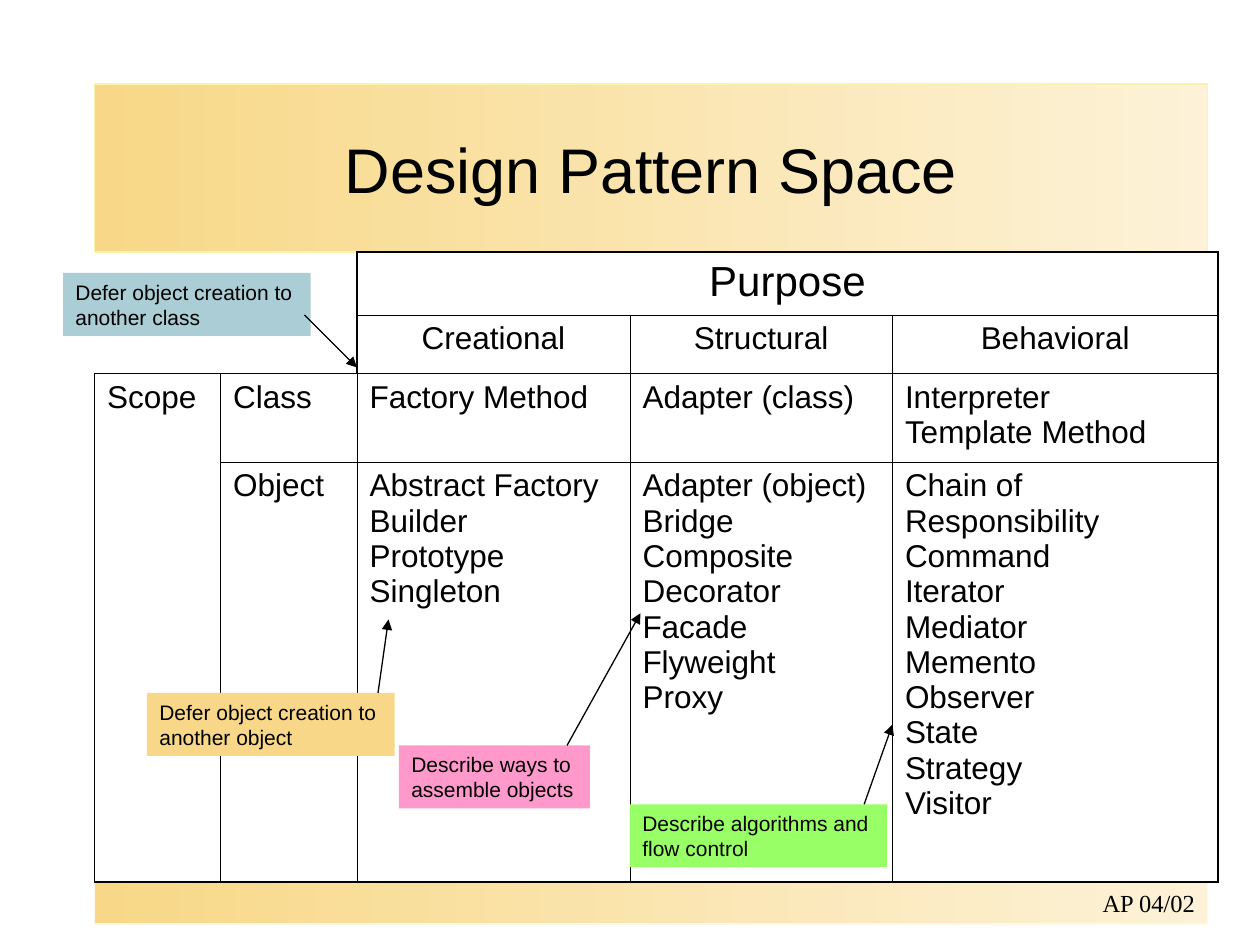
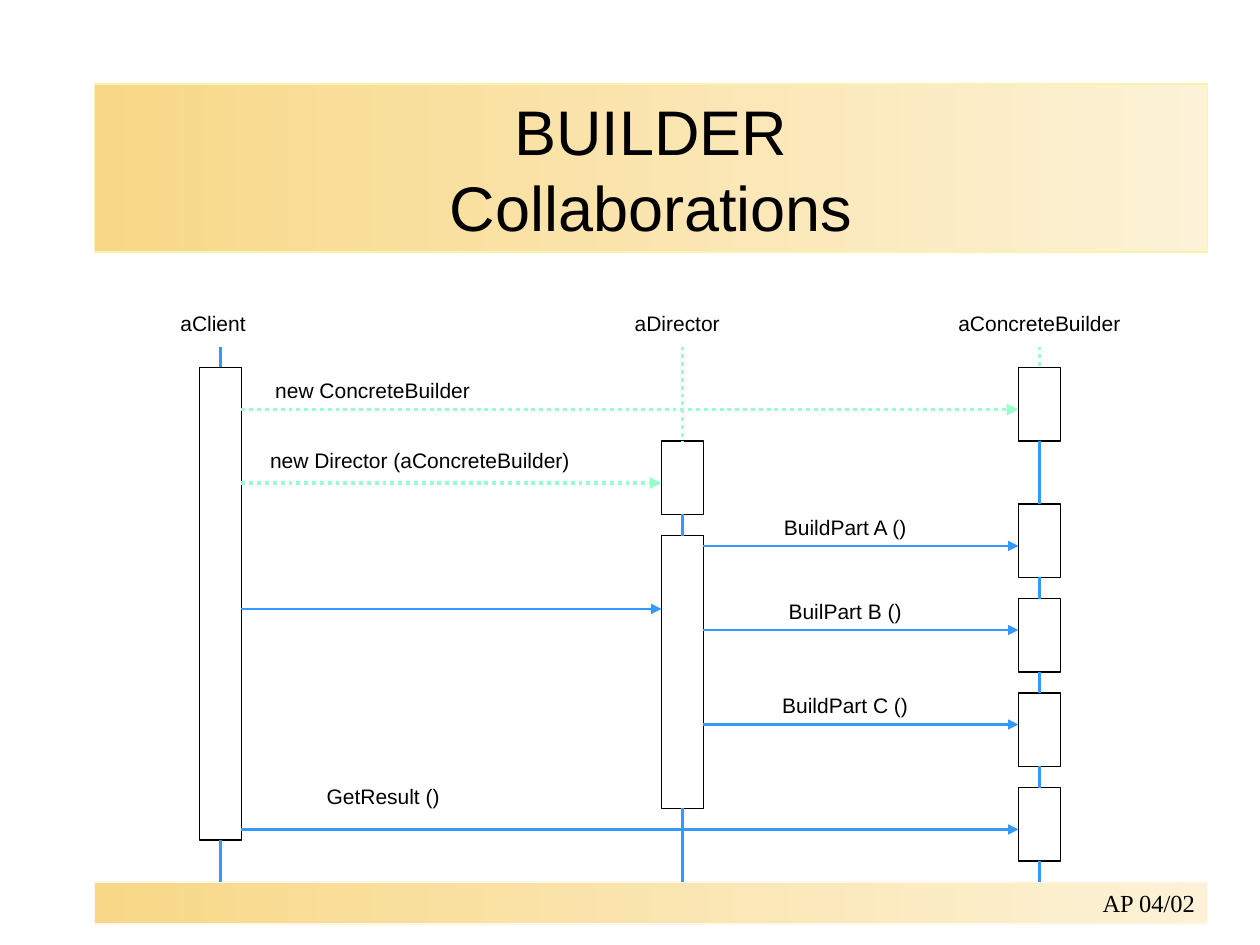
"""Build two slides on design patterns: the pattern space and the Builder collaborations."""
from lxml.etree import SubElement
from pptx import Presentation
from pptx.dml.color import RGBColor
from pptx.enum.dml import MSO_LINE
from pptx.enum.shapes import MSO_CONNECTOR, MSO_SHAPE
from pptx.enum.text import MSO_ANCHOR, PP_ALIGN
from pptx.oxml.ns import qn
from pptx.util import Inches, Pt

BLACK = RGBColor(0x00, 0x00, 0x00)
GOLD = RGBColor(0xF8, 0xD8, 0x88)
CREAM = RGBColor(0xFD, 0xF2, 0xD7)
TITLE_EDGE = RGBColor(0xFA, 0xF3, 0xAC)
FOOTER_EDGE = RGBColor(0xFE, 0xF8, 0xEA)
TEAL = RGBColor(0xAB, 0xCD, 0xD5)
LIME = RGBColor(0x99, 0xFF, 0x66)
PINK = RGBColor(0xFF, 0x99, 0xCC)
BLUE = RGBColor(0x33, 0x99, 0xFF)
MINT = RGBColor(0x99, 0xFF, 0xCC)

prs = Presentation()
prs.slide_width, prs.slide_height = Inches(10), Inches(7.5)
U = prs.slide_width / 120
LEFT, WIDTH = 9, 106
TITLE_TOP, TITLE_H = 8, 16
FOOTER_TOP, FOOTER_H = 84, 4


def write(tf, text, size=12, font="Arial", align=PP_ALIGN.LEFT, anchor=MSO_ANCHOR.TOP):
    tf.word_wrap = True
    tf.vertical_anchor = anchor
    for i, line in enumerate(text.split("\n")):
        p = tf.add_paragraph() if i else tf.paragraphs[0]
        p.text = line
        p.alignment = align
        for r in p.runs:
            r.font.size, r.font.name = Pt(size), font
            r.font.color.rgb = BLACK


def connect(sl, x1, y1, x2, y2, color=BLACK, width=0.75, dotted=False, arrow=False):
    cn = sl.shapes.add_connector(
        MSO_CONNECTOR.STRAIGHT, *(round(v * U) for v in (x1, y1, x2, y2)))
    cn.line.color.rgb = color
    cn.line.width = Pt(width)
    if dotted:
        cn.line.dash_style = MSO_LINE.ROUND_DOT
    if arrow:
        SubElement(cn.line._get_or_add_ln(), qn("a:tailEnd"), type="triangle")
    SubElement(cn._element.spPr, qn("a:effectLst"))
    return cn


slides = []
for title in ("Design Pattern Space", "BUILDER\vCollaborations"):
    sl = prs.slides.add_slide(prs.slide_layouts[6])
    slides.append(sl)
    for top, height, edge in ((FOOTER_TOP, FOOTER_H, FOOTER_EDGE),
                              (TITLE_TOP, TITLE_H, TITLE_EDGE)):
        sp = sl.shapes.add_shape(
            MSO_SHAPE.RECTANGLE, *(round(v * U) for v in (LEFT, top, WIDTH, height)))
        sp.shadow.inherit = False
        sp.fill.gradient()
        sp.fill.gradient_angle = 0
        for stop, color in zip(sp.fill.gradient_stops, (GOLD, CREAM)):
            stop.color.rgb = color
        sp.line.color.rgb = edge
        sp.line.width = Pt(0.75)
    tb = sl.shapes.add_textbox(
        *(round(v * U) for v in (LEFT, TITLE_TOP, WIDTH, TITLE_H)))
    write(tb.text_frame, title, size=36, align=PP_ALIGN.CENTER, anchor=MSO_ANCHOR.MIDDLE)
    tb = sl.shapes.add_textbox(
        *(round(v * U) for v in (LEFT + WIDTH - 14, FOOTER_TOP, 14, FOOTER_H)))
    write(tb.text_frame, "AP 04/02", size=14, font="Times New Roman", align=PP_ALIGN.RIGHT)

space, builder = slides

COLS = (12, 13, 26, 25, 31)
ROWS = (6, 5.6, 8.4, 40)
CELLS = (
    ("", "", "Purpose", "", ""),
    ("", "", "Creational", "Structural", "Behavioral"),
    ("Scope", "Class", "Factory Method", "Adapter (class)", "Interpreter\vTemplate Method"),
    ("", "Object", "Abstract Factory\nBuilder\nPrototype\nSingleton",
     "Adapter (object)\nBridge\nComposite\nDecorator\nFacade\nFlyweight\nProxy",
     "Chain of Responsibility\nCommand\nIterator\nMediator\nMemento\nObserver\n"
     "State\nStrategy\nVisitor"),
)
NO_STYLE = "{2D5ABB26-0587-4C30-8999-92F81FD0307C}"
INNER, OUTER = 0.45, 1.08

tbl = space.shapes.add_table(
    len(ROWS), len(COLS),
    *(round(v * U) for v in (LEFT, TITLE_TOP + TITLE_H, sum(COLS), sum(ROWS)))).table
tbl._tbl.tblPr.find(qn("a:tableStyleId")).text = NO_STYLE
tbl.first_row = tbl.horz_banding = False
for col, width in zip(tbl.columns, COLS):
    col.width = round(width * U)
for row, height in zip(tbl.rows, ROWS):
    row.height = round(height * U)
for (r1, c1), (r2, c2) in (((0, 0), (1, 1)), ((0, 2), (0, 4)), ((2, 0), (3, 0))):
    tbl.cell(r1, c1).merge(tbl.cell(r2, c2))

for r, texts in enumerate(CELLS):
    for c, text in enumerate(texts):
        cell = tbl.cell(r, c)
        if cell.is_spanned:
            continue
        corner = r < 2 and c < 2
        right, bottom = c + cell.span_width - 1, r + cell.span_height - 1
        edges = {
            "L": OUTER if c == 0 or (c == 2 and r < 2) else INNER,
            "R": OUTER if right == 4 or corner else INNER,
            "T": OUTER if r == 0 else INNER,
            "B": OUTER if bottom == 3 else INNER,
        }
        for side, width in edges.items():
            ln = SubElement(cell._tc.get_or_add_tcPr(), qn("a:ln" + side), w=str(Pt(width)))
            if corner and side in "LT":
                SubElement(ln, qn("a:noFill"))
            else:
                SubElement(SubElement(ln, qn("a:solidFill")), qn("a:srgbClr"), val=str(BLACK))
        cell.fill.background()
        write(cell.text_frame, text, size=24 if r == 0 else 18,
              align=PP_ALIGN.CENTER if r < 2 else PP_ALIGN.LEFT)

NOTES = (
    ("Defer object creation to\vanother class", TEAL, 6, 26, 23.6, (29, 30, 34, 35)),
    ("Defer object creation to\vanother object", GOLD, 14, 66, 23.6, (36, 66, 37, 59)),
    ("Describe algorithms and\vflow control", LIME, 60, 76.6, 24.5, (82.3, 76.6, 85, 69)),
    ("Describe ways to\vassemble objects", PINK, 38, 71, 18.2, (54, 71, 61, 58.4)),
)
for text, color, x, y, width, arrow in NOTES:
    sp = space.shapes.add_shape(
        MSO_SHAPE.RECTANGLE, *(round(v * U) for v in (x, y, width, 6)))
    sp.shadow.inherit = False
    sp.fill.solid()
    sp.fill.fore_color.rgb = color
    sp.line.fill.background()
    write(sp.text_frame, text)
    connect(space, *arrow, arrow=True)

BAR_W = 4
CLIENT, DIRECTOR, BUILDER = 21, 65, 99
LIFE_TOP = 33
LIFELINES = (
    (CLIENT, BLUE, ((35, 45),)),
    (DIRECTOR, MINT, ((42, 7), (51, 26))),
    (BUILDER, MINT, ((35, 7), (48, 7), (57, 7), (66, 7), (75, 7))),
)
for x, first_color, bars in LIFELINES:
    above, start = None, LIFE_TOP
    for top, height in bars:
        sp = builder.shapes.add_shape(
            MSO_SHAPE.RECTANGLE, *(round(v * U) for v in (x - BAR_W / 2, top, BAR_W, height)))
        sp.shadow.inherit = False
        sp.fill.background()
        sp.line.color.rgb = BLACK
        sp.line.width = Pt(0.75)
        color = BLUE if above else first_color
        mint = color == MINT
        cn = connect(builder, x, start, x, top, color, 2.25 if mint else 1.5, dotted=mint)
        if above:
            cn.begin_connect(above, 2)
        cn.end_connect(sp, 0)
        above, start = sp, top + height
    connect(builder, x, start, x, FOOTER_TOP, BLUE, 1.5).begin_connect(above, 2)

MESSAGES = (
    (CLIENT, BUILDER, 39, True),
    (CLIENT, DIRECTOR, 46, True),
    (CLIENT, DIRECTOR, 58, False),
    (DIRECTOR, BUILDER, 52, False),
    (DIRECTOR, BUILDER, 60, False),
    (DIRECTOR, BUILDER, 69, False),
    (CLIENT, BUILDER, 79, False),
)
for sender, receiver, y, creates in MESSAGES:
    connect(builder, sender + BAR_W / 2, y, receiver - BAR_W / 2, y,
            MINT if creates else BLUE, 2.25 if creates else 1.5, dotted=creates, arrow=True)

LABELS = (
    ("aClient", 16, 29, 12, PP_ALIGN.LEFT),
    ("aDirector", 58, 29, 13, PP_ALIGN.CENTER),
    ("aConcreteBuilder", 87, 29, 24, PP_ALIGN.CENTER),
    ("new ConcreteBuilder", 23, 35.4, 25, PP_ALIGN.CENTER),
    ("new Director (aConcreteBuilder)", 24, 42, 32, PP_ALIGN.CENTER),
    ("BuildPart A ()", 68, 48.4, 25, PP_ALIGN.CENTER),
    ("BuilPart B ()", 68, 56.4, 25, PP_ALIGN.CENTER),
    ("BuildPart C ()", 68, 65.4, 25, PP_ALIGN.CENTER),
    ("GetResult ()", 24, 74, 25, PP_ALIGN.CENTER),
)
for text, x, y, width, align in LABELS:
    tb = builder.shapes.add_textbox(*(round(v * U) for v in (x, y, width, 3.6)))
    write(tb.text_frame, text, align=align)

prs.save("out.pptx")
